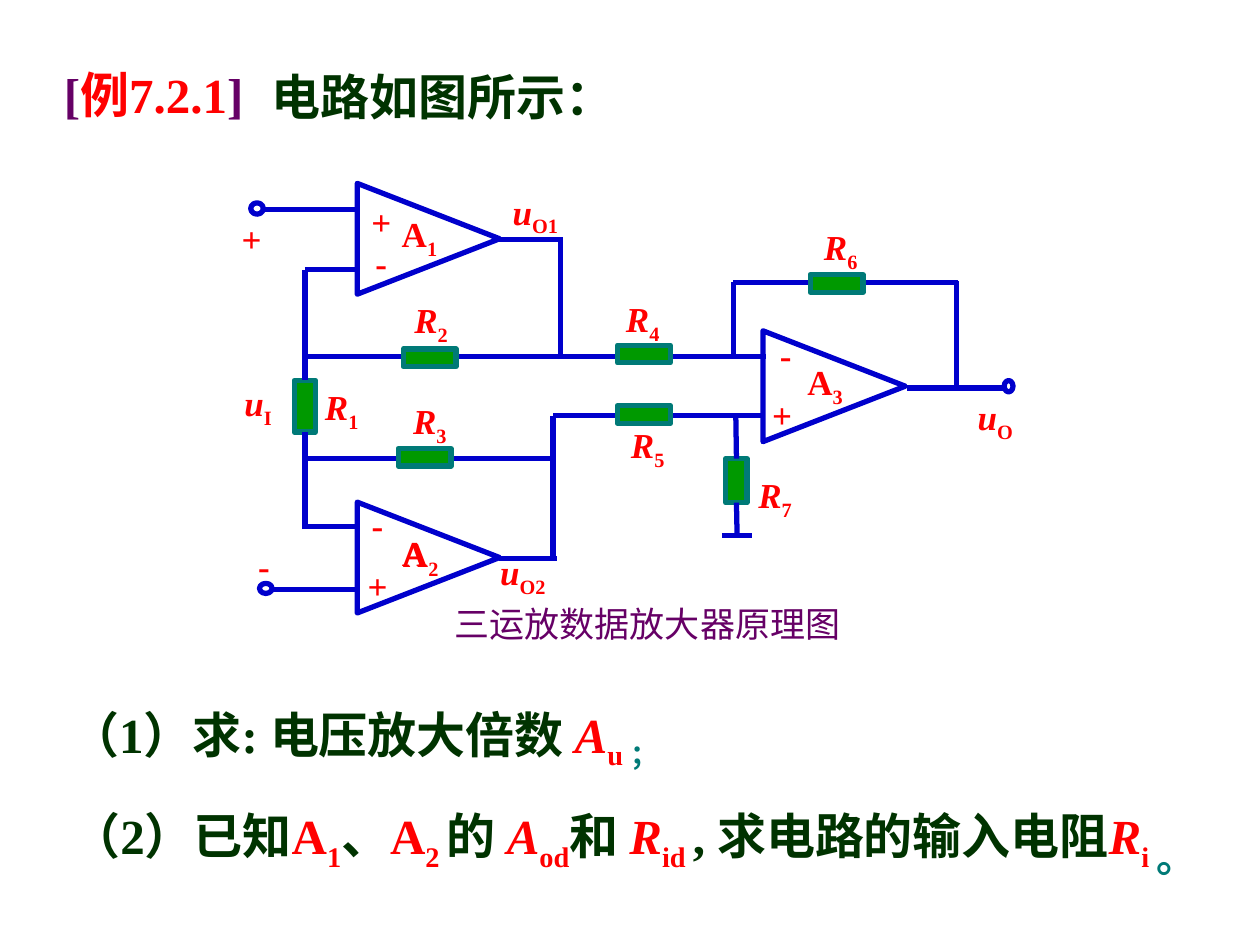
from lxml.etree import SubElement
from pptx import Presentation
from pptx.dml.color import RGBColor
from pptx.enum.shapes import MSO_CONNECTOR as Link, MSO_SHAPE as Form
from pptx.enum.text import MSO_AUTO_SIZE as Auto
from pptx.oxml.ns import qn
from pptx.util import Inches, Pt

RED = RGBColor(0xFF, 0x00, 0x00)
BLUE = RGBColor(0x00, 0x00, 0xCC)
GREEN = RGBColor(0x00, 0x99, 0x00)
TEAL = RGBColor(0x00, 0x7A, 0x77)
DARK = RGBColor(0x00, 0x33, 0x00)
PLUM = RGBColor(0x66, 0x00, 0x66)

WIDE, HIGH = Inches(10), Inches(7.5)
COLS = 100
UNIT = WIDE / COLS

INK = dict(color=DARK)
HOT = dict(color=RED)
VAR = dict(color=RED, italic=True)
SUB = dict(color=RED, sub=True)
END = dict(color=TEAL)

TITLE = [
    ((4.1, 4.6, 27.3, 5.7), [("[", dict(color=PLUM)), ("例7.2.1", HOT), ("]", dict(color=PLUM))]),
]
TASKS = [
    ((4.6, 55.4, 65, 6.3), [
        ("（1）求: 电压放大倍数 ", INK), ("A", VAR), ("u ", SUB), ("；", dict(color=TEAL, sub=True))]),
    ((4.7, 61.8, 102, 13.9), [
        ("（2）已知", INK), ("A", HOT), ("1", SUB), ("、", INK), ("A", HOT), ("2 ", SUB),
        ("的 ", INK), ("A", VAR), ("od", SUB), ("和 ", INK), ("R", VAR), ("id ", SUB),
        (", 求电路的输入电阻", INK), ("R", VAR), ("i ", SUB),
        ("。", dict(color=TEAL, sub=True, size=40))]),
]
LEAD = [((20.6, 4.8, 45.4, 5.7), [("电路如图所示：", INK)])]
NOTE = ((35.1, 47.3, 43.8, 4.4), [("三运放数据放大器原理图", dict(color=PLUM, bold=False))])

LABELS = [
    ("u", "O", 76.6, 30.9, 9.5), ("u", "I", 18.4, 29.8, 8.8),
    ("u", "O1", 39.7, 14.6, 10.3), ("u", "O2", 38.7, 43.2, 8.5),
    ("R", "1", 24.8, 30.1, 9.1), ("R", "2", 31.9, 23.2, 8.6),
    ("R", "3", 31.8, 31.2, 8.5), ("R", "4", 48.7, 23.1, 8.4),
    ("R", "5", 49.1, 33.1, 8.7), ("R", "6", 64.4, 17.4, 9.5),
    ("R", "7", 59.2, 37.1, 8.4),
    ("A", "1", 30.9, 16.4, 9.6), ("A", "2", 31, 41.8, 8.4),
    ("A", "", 30.9, 41.7, 6.8), ("A", "3", 63.1, 28.1, 8.7),
    ("+", "", 28.5, 15.4, 3.6), ("-", "", 28.8, 18.7, 3.1),
    ("-", "", 28.5, 39.5, 4.8), ("+", "", 28.2, 44.3, 4),
    ("-", "", 60.9, 26, 4.8), ("+", "", 60.3, 30.7, 5.6),
    ("+", "", 18.2, 16.8, 3.6), ("-", "", 19.5, 42.7, 2.9),
]

WIRES = [
    (24, 28.3, 60.8, 28.3), (57.3, 42.5, 59.7, 42.5), (72, 30.8, 79.7, 30.8),
    (58.2, 22.4, 76, 22.4), (75.9, 22.3, 75.9, 30.7), (58.2, 22.4, 58.2, 28.2),
    (24.2, 36.4, 44, 36.4), (43.9, 33, 43.9, 44.5), (24.2, 41.8, 28.3, 41.8),
    (21.5, 46.8, 28.2, 46.8), (39.6, 44.3, 44.2, 44.3), (20.8, 16.6, 28.2, 16.6),
    (39.6, 19, 44.7, 19), (44.5, 28.5, 44.5, 19.2), (24.2, 21.4, 28.5, 21.4),
    (43.9, 33, 60.7, 33),
]
AMPS = [(29.6, 13.3), (29.6, 38.6), (61.8, 25)]
PORTS = [(19.9, 16.1, 1, 0.9), (20.6, 46.3, 1, 0.8), (79.7, 30.2, 0.7, 0.9)]
FLAT = [(32, 27.7), (31.6, 35.6), (49, 27.4), (49, 32.2), (64.3, 21.8)]
TALL = {"R1": (23.35, 30.2, 1.7, 4.1), "R7": (57.6, 36.4, 1.7, 3.5)}
TOP, FOOT = 0, 2
JOINS = [
    ("R1", TOP, 24.2, 21.4), ("R1", FOOT, 24.2, 42),
    ("R7", TOP, 58.4, 33), ("R7", FOOT, 58.5, 42.5),
]


def span(*cells):
    return [round(cell * UNIT) for cell in cells]


def write(home, spot, runs, size=28, bold=True):
    box = home.add_textbox(*span(*spot))
    frame = box.text_frame
    frame.word_wrap = True
    frame.auto_size = Auto.SHAPE_TO_FIT_TEXT
    for text, look in runs:
        run = frame.paragraphs[0].add_run()
        run.text = text
        font = run.font
        font.name = "Times New Roman"
        font.size = Pt(look.get("size", size))
        font.bold = look.get("bold", bold)
        font.italic = look.get("italic", False)
        font.color.rgb = look["color"]
        if look.get("sub"):
            run._r.get_or_add_rPr().set("baseline", "-25000")


def wire(home, *ends):
    line = home.add_connector(Link.STRAIGHT, *span(*ends))
    line.line.color.rgb = BLUE
    line.line.width = Pt(3)
    SubElement(line._element.spPr, qn("a:effectLst"))
    return line


def part(home, form, spot, edge=BLUE, fill=None, turn=0):
    item = home.add_shape(form, *span(*spot))
    item.shadow.inherit = False
    item.rotation = turn
    item.line.color.rgb = edge
    item.line.width = Pt(3)
    if fill is None:
        item.fill.background()
    else:
        item.fill.solid()
        item.fill.fore_color.rgb = fill
    return item


def draw(home):
    for ends in WIRES:
        wire(home, *ends)
    for x, y in AMPS:
        part(home, Form.ISOSCELES_TRIANGLE, (x, y, 8.8, 11.3), turn=90)
    for spot in PORTS:
        part(home, Form.OVAL, spot)
    for x, y in FLAT:
        part(home, Form.RECTANGLE, (x, y, 4.2, 1.4), TEAL, GREEN)
    tall = {name: part(home, Form.RECTANGLE, spot, TEAL, GREEN)
            for name, spot in TALL.items()}
    for name, side, x, y in JOINS:
        wire(home, x, y, x, y).end_connect(tall[name], side)
    for base, tail, x, y, w in LABELS:
        runs = [(base, VAR if base in "uR" else HOT)]
        if tail:
            runs.append((tail, SUB))
        write(home, (x, y, w, 4.8 if tail else 4.4), runs, size=20)
    write(home, *NOTE, size=20)


def main():
    deck = Presentation()
    deck.slide_width, deck.slide_height = WIDE, HIGH
    page = deck.slides.add_slide(deck.slide_layouts[6]).shapes
    for spot, runs in TITLE + TASKS:
        write(page, spot, runs)
    draw(page.add_group_shape().shapes)
    for spot, runs in LEAD:
        write(page, spot, runs)
    deck.save("out.pptx")


if __name__ == "__main__":
    main()
